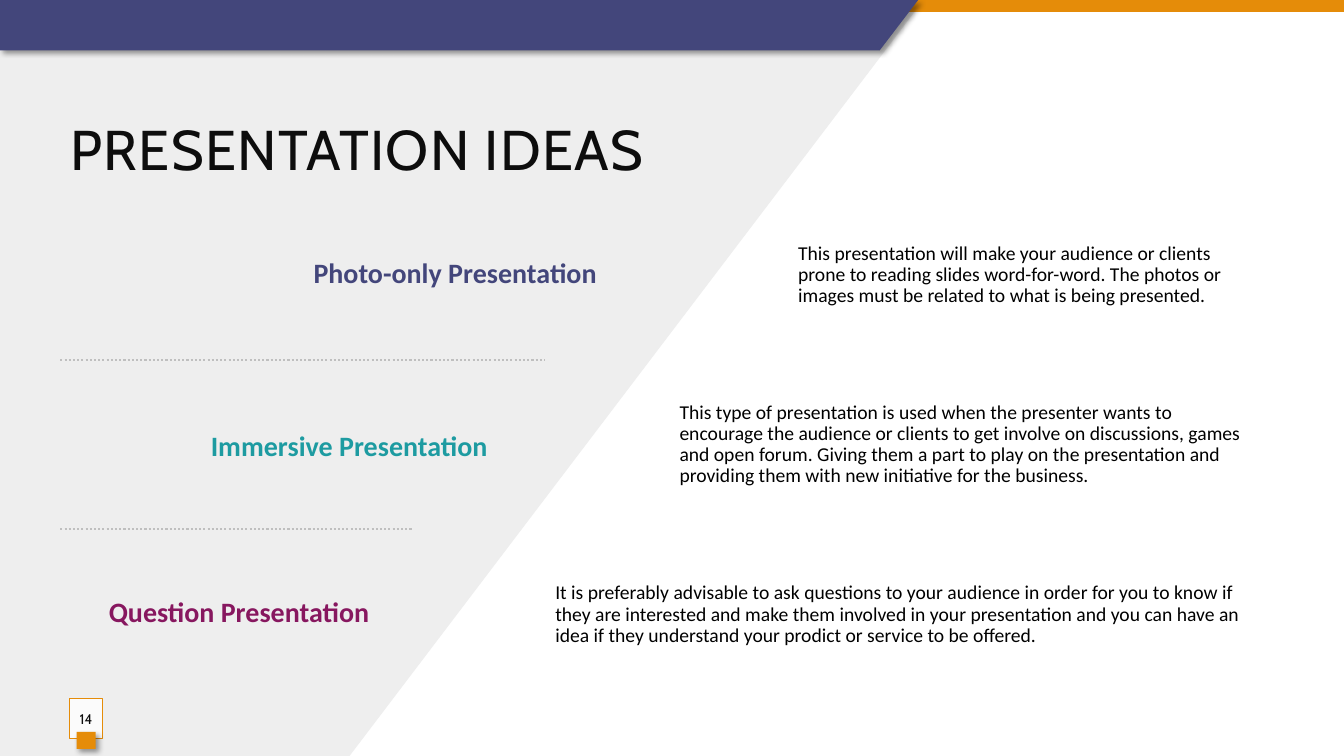
"""Build the "Presentation Ideas" slide."""
import lxml.etree
import pptx
import pptx.dml.color
import pptx.enum.dml
import pptx.enum.shapes
import pptx.enum.text
import pptx.oxml.ns
import pptx.util

Cm = pptx.util.Cm
Pt = pptx.util.Pt
RGBColor = pptx.dml.color.RGBColor
ALIGN = pptx.enum.text.PP_ALIGN
RECTANGLE = pptx.enum.shapes.MSO_SHAPE.RECTANGLE
qn = pptx.oxml.ns.qn

INDIGO = RGBColor(0x43, 0x46, 0x7B)
TEAL = RGBColor(0x1D, 0x9B, 0xA1)
PLUM = RGBColor(0x87, 0x17, 0x5F)
ORANGE = RGBColor(0xE5, 0x8C, 0x09)
PALE_GREY = RGBColor(0xEE, 0xEE, 0xEE)
DOT_GREY = RGBColor(0xBF, 0xBF, 0xBF)
NEAR_BLACK = RGBColor(0x0D, 0x0D, 0x0D)
BLACK = RGBColor(0, 0, 0)
WHITE = RGBColor(0xFF, 0xFF, 0xFF)


def write_text(shape, text, size, color, font="Calibri", bold=False,
               align=ALIGN.LEFT, line_spacing=0.9, space_after=2, tracking=0):
    frame = shape.text_frame
    frame.word_wrap = True
    frame.auto_size = pptx.enum.text.MSO_AUTO_SIZE.NONE
    frame.vertical_anchor = pptx.enum.text.MSO_ANCHOR.MIDDLE
    paragraph = frame.paragraphs[0]
    properties = paragraph._p.get_or_add_pPr()
    properties.set("marL", "0")
    properties.set("indent", "0")
    lxml.etree.SubElement(properties, qn("a:buNone"))
    paragraph.alignment = align
    paragraph.line_spacing = line_spacing
    paragraph.space_before = Pt(0)
    paragraph.space_after = Pt(space_after)
    run = paragraph.add_run()
    run.text = text
    run.font.name = font
    run.font.size = Pt(size)
    run.font.bold = bold
    run.font.color.rgb = color
    run._r.get_or_add_rPr().set("spc", str(tracking * 100))


def paint(shape, color, shadow=False):
    shape.fill.solid()
    shape.fill.fore_color.rgb = color
    shape.line.fill.background()
    shape.shadow.inherit = False
    if shadow:
        effects = shape._element.spPr.find(qn("a:effectLst"))
        outer = lxml.etree.SubElement(
            effects, qn("a:outerShdw"), blurRad=str(Pt(4)), dist=str(Pt(3)),
            dir="2700000", algn="tl", rotWithShape="0")
        black = lxml.etree.SubElement(outer, qn("a:srgbClr"), val="000000")
        lxml.etree.SubElement(black, qn("a:alpha"), val="40000")


presentation = pptx.Presentation()
presentation.slide_width = Cm(33.87)
presentation.slide_height = Cm(19.05)
layout = presentation.slide_layouts.get_by_name("Comparison")
slide = presentation.slides.add_slide(layout)
shapes = slide.shapes

top_bar = shapes.add_shape(RECTANGLE, 0, 0, Cm(33.87), Cm(0.3))
paint(top_bar, ORANGE)
outlines = [
    ([(0, 0), (23.14, 0), (23.14, 0.18), (8.81, 19.05), (0, 19.05)], PALE_GREY, False),
    ([(0, 0), (23.14, 0), (22.17, 1.27), (0, 1.27)], INDIGO, True),
]
panels = []
for corners, color, shadow in outlines:
    points = [(Cm(x), Cm(y)) for x, y in corners]
    builder = shapes.build_freeform(*points[0], scale=1.0)
    builder.add_line_segments(points[1:], close=True)
    panel = builder.convert_to_shape()
    paint(panel, color, shadow)
    panels.append(panel)
grey_panel, header_band = panels
for backdrop in (grey_panel, top_bar, header_band):
    layout.shapes._spTree.append(backdrop._element)

title = shapes.title
title.left, title.top, title.width, title.height = Cm(1.52), Cm(2.74), Cm(30.02), Cm(1.96)
write_text(title, "PRESENTATION IDEAS", size=40, color=NEAR_BLACK, font="Cabin",
           line_spacing=1.0, space_after=0, tracking=1)

DESCRIPTION_RIGHT = 31.85
ideas = [
    ("Photo-only Presentation ", INDIGO, 1.73, 6.32, 13.72, 1, 19.86, 5.66,
     "This presentation will make your audience or clients prone to reading slides "
     "word-for-word. The photos or images must be related to what is being presented."),
    ("Immersive Presentation ", TEAL, 1.52, 10.69, 11.18, 2, 16.87, 9.93,
     "This type of presentation is used when the presenter wants to encourage the "
     "audience or clients to get involve on discussions, games and open forum. Giving "
     "them a part to play on the presentation and providing them with new initiative "
     "for the business."),
    ("Question Presentation ", PLUM, 1.52, 14.88, 8.2, 4, 13.74, 14.22,
     "It is preferably advisable to ask questions to your audience in order for you to "
     "know if they are interested and make them involved in your presentation and you "
     "can have an idea if they understand your prodict or service to be offered."),
]
bodies = {body.placeholder_format.idx: body for body in slide.placeholders}
for heading, color, left, top, width, index, body_left, body_top, description in ideas:
    body = bodies.pop(index)
    body.left, body.top = Cm(body_left), Cm(body_top)
    body.width, body.height = Cm(DESCRIPTION_RIGHT - body_left), Cm(2.54)
    write_text(body, description, size=14, color=BLACK)
    heading_box = shapes.add_textbox(Cm(left), Cm(top), Cm(width), Cm(1.17))
    write_text(heading_box, heading, size=20, color=color, bold=True, align=ALIGN.RIGHT)

unused = bodies[3]._element
unused.getparent().remove(unused)

number_box = shapes.add_shape(RECTANGLE, Cm(1.75), Cm(17.6), Cm(0.84), Cm(1.02))
paint(number_box, WHITE)
white = number_box._element.spPr.find(qn("a:solidFill"))[0]
lxml.etree.SubElement(white, qn("a:alpha"), val="82000")
number_box.line.color.rgb = ORANGE
number_box.line.width = Pt(0.75)
number_box.text_frame.margin_left = number_box.text_frame.margin_right = 0
write_text(number_box, "14", size=10, color=NEAR_BLACK, font="Cabin",
           align=ALIGN.CENTER, line_spacing=1.0, space_after=0)

number_tab = shapes.add_shape(RECTANGLE, Cm(1.93), Cm(18.44), Cm(0.48), Cm(0.43))
paint(number_tab, ORANGE, shadow=True)

for line_end, line_top in [(13.72, 9.07), (10.41, 13.34)]:
    divider = shapes.add_connector(pptx.enum.shapes.MSO_CONNECTOR.STRAIGHT,
                                   Cm(1.52), Cm(line_top), Cm(line_end), Cm(line_top))
    divider.line.color.rgb = DOT_GREY
    divider.line.width = Pt(1.5)
    divider.line.dash_style = pptx.enum.dml.MSO_LINE.ROUND_DOT
    lxml.etree.SubElement(divider._element.spPr, qn("a:effectLst"))

presentation.save("out.pptx")
